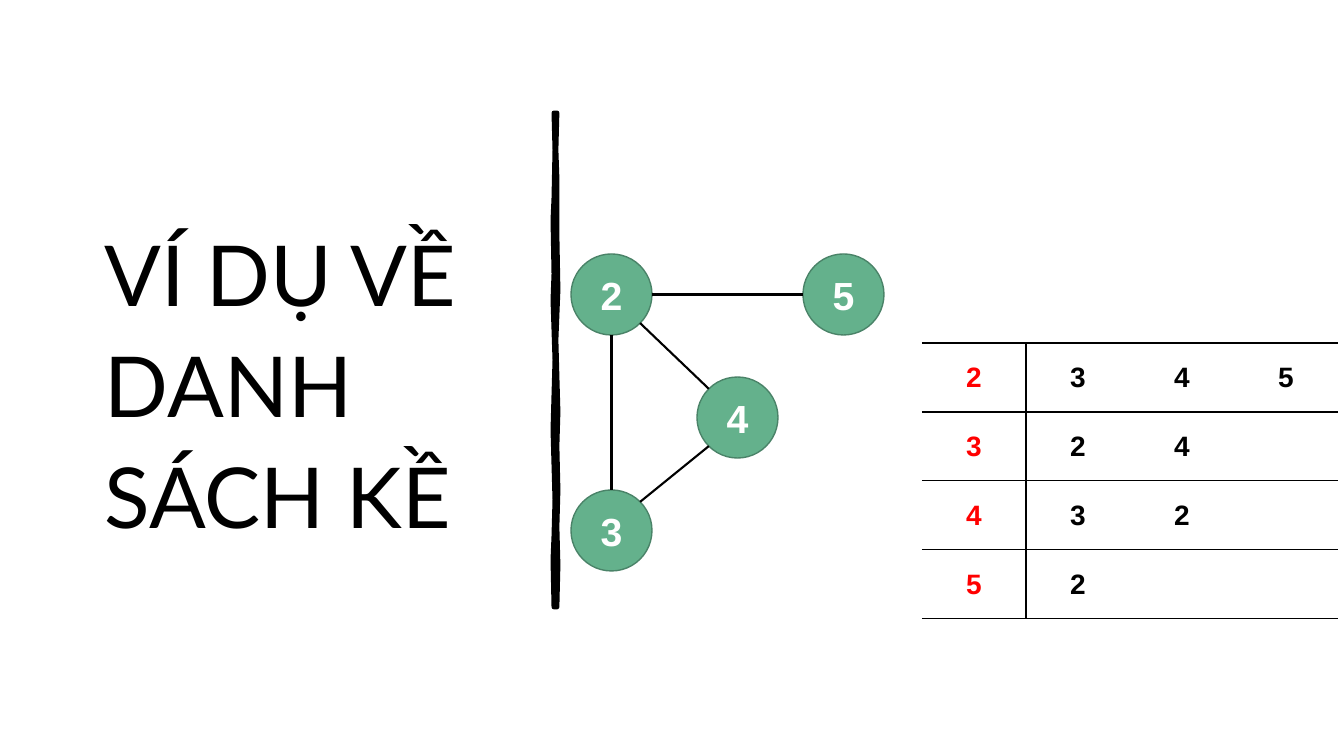
import math

from lxml import etree
from pptx import Presentation
from pptx.dml.color import RGBColor
from pptx.enum import shapes, text
from pptx.oxml.ns import qn
from pptx.util import Pt

EMU_PER_PX = 914400 / 100.8

BLACK = RGBColor(0x00, 0x00, 0x00)
WHITE = RGBColor(0xFF, 0xFF, 0xFF)
RED = RGBColor(0xFF, 0x00, 0x00)
GREEN = RGBColor(0x64, 0xB1, 0x8C)
DARK_GREEN = RGBColor(0x4A, 0x83, 0x68)

# Graph: left and top of each node, and edges with the direction they leave in
NODE_SIZE = 81
NODES = {"2": (571, 254), "3": (571, 490), "4": (697, 377), "5": (803, 254)}
EDGES = [("3", "2", (0, -1)), ("3", "4", (1, -1)),
         ("2", "4", (1, 1)), ("5", "2", (-1, 0))]

# Adjacency list: vertex, then its neighbours
ADJACENCY = {"2": "345", "3": "24", "4": "32", "5": "2"}
COLUMN_WIDTH, ROW_HEIGHT = 104, 69

# Brush stroke edges, as (x, y)
BRUSH_RIGHT = [(557, 113), (556, 150), (557, 178), (557, 235), (558, 290),
               (556, 340), (557, 376), (558, 412), (557, 446), (558, 490),
               (557, 527), (558, 565), (557, 607)]
BRUSH_LEFT = [(554, 607), (553, 560), (554, 536), (555, 500), (554, 465),
              (553, 430), (554, 395), (555, 360), (554, 330), (553, 300),
              (554, 274), (553, 220), (554, 198), (555, 150), (554, 113)]


def px(length):
    return round(length * EMU_PER_PX)


def apply_format(target, values):
    for name, value in values.items():
        setattr(target, name, value)


def write_text(frame, content, color, size, font="Arial", bold=True,
               alignment=text.PP_ALIGN.CENTER):
    paragraph = frame.paragraphs[0]
    paragraph.alignment = alignment
    run = paragraph.add_run()
    run.text = content
    apply_format(run.font, {"name": font, "size": Pt(size), "bold": bold})
    run.font.color.rgb = color
    return paragraph


def paint(shape, fill, line, width):
    shape.shadow.inherit = False
    shape.fill.solid()
    shape.fill.fore_color.rgb = fill
    shape.line.color.rgb = line
    shape.line.width = Pt(width)


def add_title(slide, content):
    title = slide.shapes.title
    apply_format(title, {"left": px(93), "top": px(50),
                         "width": px(433), "height": px(505)})
    apply_format(title.text_frame, {
        "word_wrap": True, "auto_size": text.MSO_AUTO_SIZE.NONE,
        "vertical_anchor": text.MSO_ANCHOR.BOTTOM,
        "margin_left": px(12), "margin_right": px(12),
        "margin_top": px(12), "margin_bottom": px(10)})
    paragraph = write_text(title.text_frame, content, BLACK, 60, "Lato",
                           False, text.PP_ALIGN.LEFT)
    paragraph.line_spacing = 1.1


def add_brush(slide):
    builder = slide.shapes.build_freeform(*BRUSH_RIGHT[0], scale=EMU_PER_PX)
    builder.add_line_segments(BRUSH_RIGHT[1:] + BRUSH_LEFT, close=True)
    paint(builder.convert_to_shape(), BLACK, BLACK, 3.5)


def add_node(slide, label):
    left, top = NODES[label]
    node = slide.shapes.add_shape(shapes.MSO_SHAPE.OVAL, px(left), px(top),
                                  px(NODE_SIZE), px(NODE_SIZE))
    paint(node, GREEN, DARK_GREEN, 1)
    node.text_frame.vertical_anchor = text.MSO_ANCHOR.MIDDLE
    write_text(node.text_frame, label, WHITE, 28)


def rim_point(label, direction, sign):
    """Point on a node's rim, in the given direction from its centre."""
    radius = NODE_SIZE / 2
    reach = sign * radius / math.hypot(*direction)
    return [px(corner + radius + reach * step)
            for corner, step in zip(NODES[label], direction)]


def add_edge(slide, start, end, direction):
    edge = slide.shapes.add_connector(
        shapes.MSO_CONNECTOR.STRAIGHT,
        *rim_point(start, direction, 1), *rim_point(end, direction, -1))
    edge.line.color.rgb = BLACK
    edge.line.width = Pt(1.5)
    etree.SubElement(edge._element.spPr, qn("a:effectLst"))


def set_borders(cell, visible):
    properties = cell._tc.get_or_add_tcPr()
    for side in "LRTB":
        line = etree.SubElement(properties, qn(f"a:ln{side}"), w=str(Pt(1)))
        if side in visible:
            fill = etree.SubElement(line, qn("a:solidFill"))
            etree.SubElement(fill, qn("a:srgbClr"), val=str(BLACK))
        else:
            etree.SubElement(line, qn("a:noFill"))


def visible_sides(row, column):
    if column == 0:
        return ""
    if row == 0:
        return "B"
    return "TB" + {1: "R", 2: "L"}.get(column, "")


def add_adjacency_table(slide):
    # The first row and the first column stay empty
    rows = [""] + [f" {vertex}{near}" for vertex, near in ADJACENCY.items()]
    count = len(rows)
    table = slide.shapes.add_table(
        count, count, px(818), px(274),
        px(COLUMN_WIDTH * count), px(ROW_HEIGHT * count)).table
    apply_format(table, {"first_row": False, "horz_banding": False})
    for column in table.columns:
        column.width = px(COLUMN_WIDTH)
    for row_index, labels in enumerate(rows):
        table.rows[row_index].height = px(ROW_HEIGHT)
        for column_index in range(count):
            cell = table.cell(row_index, column_index)
            set_borders(cell, visible_sides(row_index, column_index))
            cell.fill.background()
            cell.vertical_anchor = text.MSO_ANCHOR.MIDDLE
            label = labels[column_index:column_index + 1].strip()
            if label:
                color = RED if column_index == 1 else BLACK
                write_text(cell.text_frame, label, color, 20)


def main():
    presentation = Presentation()
    presentation.slide_width = px(1344)
    presentation.slide_height = px(756)
    slide = presentation.slides.add_slide(presentation.slide_layouts[5])

    # Title and divider
    add_title(slide, "VÍ DỤ VỀ DANH SÁCH KỀ")
    add_brush(slide)

    # Graph
    for label in NODES:
        add_node(slide, label)
    for start, end, direction in EDGES:
        add_edge(slide, start, end, direction)

    # Adjacency list
    add_adjacency_table(slide)
    presentation.save("out.pptx")


if __name__ == "__main__":
    main()
